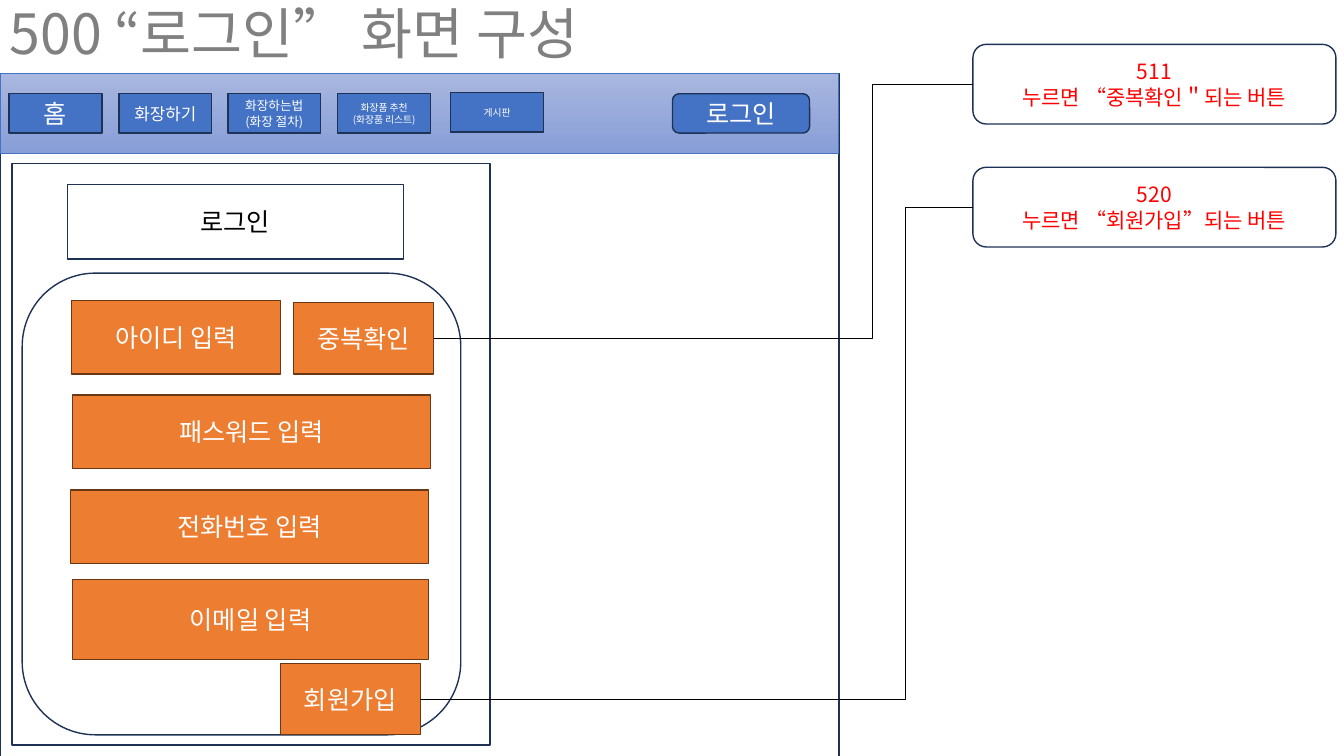
from lxml import etree
from pptx import Presentation
from pptx import util as u
from pptx.dml.color import RGBColor
from pptx.enum import shapes, text
from pptx.oxml import ns

PX = u.Inches(1) // 100
FONT = "Noto Sans CJK KR"
WHITE = RGBColor(0xFF, 0xFF, 0xFF)
BLACK = RGBColor(0x00, 0x00, 0x00)
GRAY = RGBColor(0x80, 0x80, 0x80)
RED = RGBColor(0xFF, 0x00, 0x00)
BLUE = RGBColor(0x44, 0x72, 0xC4)
NAVY = RGBColor(0x1E, 0x32, 0x56)
ORANGE = RGBColor(0xED, 0x7D, 0x31)
BROWN = RGBColor(0x68, 0x37, 0x15)
BAR_TOP = RGBColor(0xA8, 0xB7, 0xDF)
BAR_BOTTOM = RGBColor(0x88, 0x9E, 0xD7)

RECT = shapes.MSO_SHAPE.RECTANGLE
ROUND = shapes.MSO_SHAPE.ROUNDED_RECTANGLE
CENTER = text.PP_ALIGN.CENTER
LEFT_SIDE, RIGHT_SIDE = 1, 3

MENU = [
    (9, 93, "홈", 18),
    (118, 93, "화장하기", 12),
    (226, 93, "화장하는법\n(화장 절차)", 9),
    (335, 93, "화장품 추천\n(화장품 리스트)", 7),
    (447, 92, "게시판", 7),
]
FIELDS = [
    ((71, 298, 207, 73), "아이디 입력"),
    ((72, 392, 355, 73), "패스워드 입력"),
    ((70, 486, 355, 73), "전화번호 입력"),
    ((72, 575, 353, 79), "이메일 입력"),
]
# button place, button caption, callout top, callout caption, elbow position
ACTIONS = [
    ((291, 300, 139, 71), "중복확인", 44, "511\n누르면 “중복확인＂되는 버튼", 0.186),
    ((278, 658, 139, 71), "회원가입", 166, "520\n누르면 “회원가입”되는 버튼", 0.122),
]


def emu(place):
    return [length * PX for length in place]


def set_all(target, values):
    for name, value in values.items():
        setattr(target, name, value)


def write(shape, caption, size, color, **para_format):
    """Fill a shape with vertically centred text, one paragraph per line."""
    frame = shape.text_frame
    set_all(frame, {"word_wrap": True, "vertical_anchor": text.MSO_ANCHOR.MIDDLE})
    frame.text = caption
    for para in frame.paragraphs:
        set_all(para, para_format)
        for span in para.runs:
            set_all(span.font, {"size": u.Pt(size), "name": FONT})
            span.font.color.rgb = color
            east_asian = etree.SubElement(span.font._element, ns.qn("a:ea"))
            east_asian.set("typeface", FONT)


def add_box(page, place, kind=RECT, fill=None, line=NAVY):
    box = page.shapes.add_shape(kind, *emu(place))
    box.shadow.inherit = False
    if fill is None:
        box.fill.background()
    else:
        box.fill.solid()
        box.fill.fore_color.rgb = fill
    box.line.color.rgb = line
    box.line.width = u.Pt(1)
    return box


def add_label(page, place, caption, size=18, color=WHITE, **look):
    box = add_box(page, place, **look)
    write(box, caption, size, color, alignment=CENTER)
    return box


def add_title(page, caption):
    box = page.shapes.add_textbox(*emu((0, 0, 1150, 73)))
    write(box, caption, 39.6, GRAY, line_spacing=0.9)


def add_menu_bar(page):
    bar = add_box(page, (0, 73, 832, 79), line=BLUE)
    bar.line.width = u.Pt(0.5)
    bar.fill.gradient()
    bar.fill.gradient_angle = 270
    for stop, color in zip(bar.fill.gradient_stops, (BAR_TOP, BAR_BOTTOM)):
        stop.color.rgb = color
    for left, top, caption, size in MENU:
        add_label(page, (left, top, 92, 39), caption, size, fill=BLUE)
    add_label(page, (667, 93, 136, 39), "로그인", kind=ROUND, fill=BLUE)


def add_elbow(page, callout, button, bend):
    """Join a callout's left side to a button's right side; bend is a share of the width."""
    link = page.shapes.add_connector(
        shapes.MSO_CONNECTOR.ELBOW,
        callout.left, callout.top + callout.height // 2,
        button.left + button.width, button.top + button.height // 2)
    link.begin_connect(callout, LEFT_SIDE)
    link.end_connect(button, RIGHT_SIDE)
    link.line.color.rgb = BLACK
    link.line.width = u.Pt(0.5)
    props = link._element.spPr
    etree.SubElement(props, ns.qn("a:effectLst"))
    guides = props.find(ns.qn("a:prstGeom")).get_or_add_avLst()
    guide = etree.SubElement(guides, ns.qn("a:gd"))
    guide.set("name", "adj1")
    guide.set("fmla", f"val {round(bend * 100000)}")


def main():
    deck = Presentation()
    deck.slide_width, deck.slide_height = emu((1333, 750))
    page = deck.slides.add_slide(deck.slide_layouts[6])

    add_box(page, (0, 73, 832, 688))
    add_menu_bar(page)
    add_title(page, "500 “로그인” 화면 구성")

    add_box(page, (12, 162, 474, 577))
    add_label(page, (67, 183, 333, 74), "로그인", color=BLACK)
    add_box(page, (22, 271, 435, 458), kind=ROUND)
    for place, caption in FIELDS:
        add_label(page, place, caption, fill=ORANGE, line=BROWN)
    for place, caption, top, note, bend in ACTIONS:
        button = add_label(page, place, caption, fill=ORANGE, line=BROWN)
        callout = add_label(page, (965, top, 360, 79), note, 15, RED, kind=ROUND)
        add_elbow(page, callout, button, bend)

    deck.save("out.pptx")


if __name__ == "__main__":
    main()
